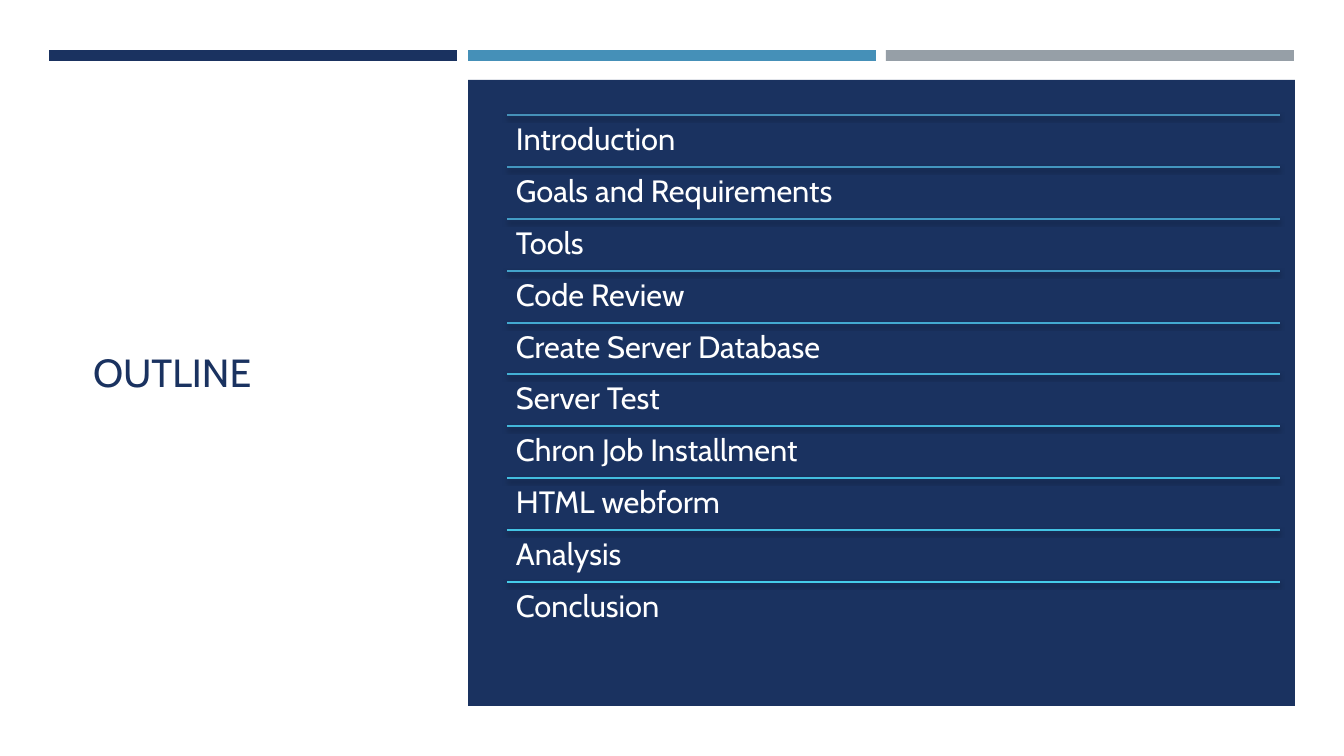
import pptx
import pptx.util
import pptx.dml.color
import pptx.enum.shapes
import pptx.enum.text
import lxml.etree

PX = 914400 / 100.8
FONT = "Cabin"
COLORS = {"navy": "1A3260", "blue": "4590B8", "gray": "969FA7", "white": "FFFFFF"}
TOPICS = {
    "Introduction": "4590B8",
    "Goals and Requirements": "4396BF",
    "Tools": "439CC5",
    "Code Review": "43A3CA",
    "Create Server Database": "43A9D0",
    "Server Test": "43B0D5",
    "Chron Job Installment": "43B7DA",
    "HTML webform": "43BDDF",
    "Analysis": "44C4E4",
    "Conclusion": "45CBE8",
}
SHADOW = """<a:effectLst xmlns:a="http://schemas.openxmlformats.org/drawingml/2006/main">
<a:outerShdw blurRad="38100" dist="25400" dir="5400000" rotWithShape="0">
<a:srgbClr val="000000"><a:alpha val="55000"/></a:srgbClr></a:outerShdw></a:effectLst>"""


def scale(*lengths):
    return [round(n * PX) for n in lengths]


def write(frame, text, size, color):
    """Put one left-aligned run in the frame's first paragraph."""
    frame.word_wrap = True
    line = frame.paragraphs[0]
    line.alignment = pptx.enum.text.PP_ALIGN.LEFT
    line.line_spacing = 0.9
    run = line.add_run()
    run.text = text
    run.font.name = FONT
    run.font.size = pptx.util.Pt(size)
    run.font.color.rgb = pptx.dml.color.RGBColor.from_string(color)


deck = pptx.Presentation()
deck.slide_width, deck.slide_height = scale(1344, 756)
slide = deck.slides.add_slide(deck.slide_layouts[5])
back = slide.background.fill
back.solid()
back.fore_color.rgb = pptx.dml.color.RGBColor.from_string(COLORS["white"])

# Title
title = slide.shapes.title
title.left, title.top, title.width, title.height = scale(83, 115, 337, 519)
title.text_frame.vertical_anchor = pptx.enum.text.MSO_ANCHOR.MIDDLE
write(title.text_frame, "OUTLINE", 28, COLORS["navy"])

# Top bars and panel
blocks = [
    ("navy", 49, 50, 408, 11),
    ("blue", 468, 50, 408, 11),
    ("gray", 886, 50, 408, 11),
    ("navy", 468, 80, 827, 626),
]
for name, *box in blocks:
    block = slide.shapes.add_shape(pptx.enum.shapes.MSO_SHAPE.RECTANGLE, *scale(*box))
    block.shadow.inherit = False
    block.fill.solid()
    block.fill.fore_color.rgb = pptx.dml.color.RGBColor.from_string(COLORS[name])
    block.line.fill.background()

# Topics, each under a rule
left, top, width, height = 507, 115, 773, 519
pitch = height / len(TOPICS)
for row, (topic, color) in enumerate(TOPICS.items()):
    y = round(top + row * pitch)
    rule = slide.shapes.add_connector(
        pptx.enum.shapes.MSO_CONNECTOR.STRAIGHT, *scale(left, y, left + width, y))
    rule.line.color.rgb = pptx.dml.color.RGBColor.from_string(color)
    rule.line.width = pptx.util.Pt(1)
    rule.element.spPr.append(lxml.etree.fromstring(SHADOW))

    label = slide.shapes.add_textbox(*scale(left, y, width, round(pitch)))
    frame = label.text_frame
    frame.margin_left, frame.margin_top, frame.margin_right, frame.margin_bottom = scale(9, 9, 9, 9)
    write(frame, topic, 22, COLORS["white"])

deck.save("out.pptx")
